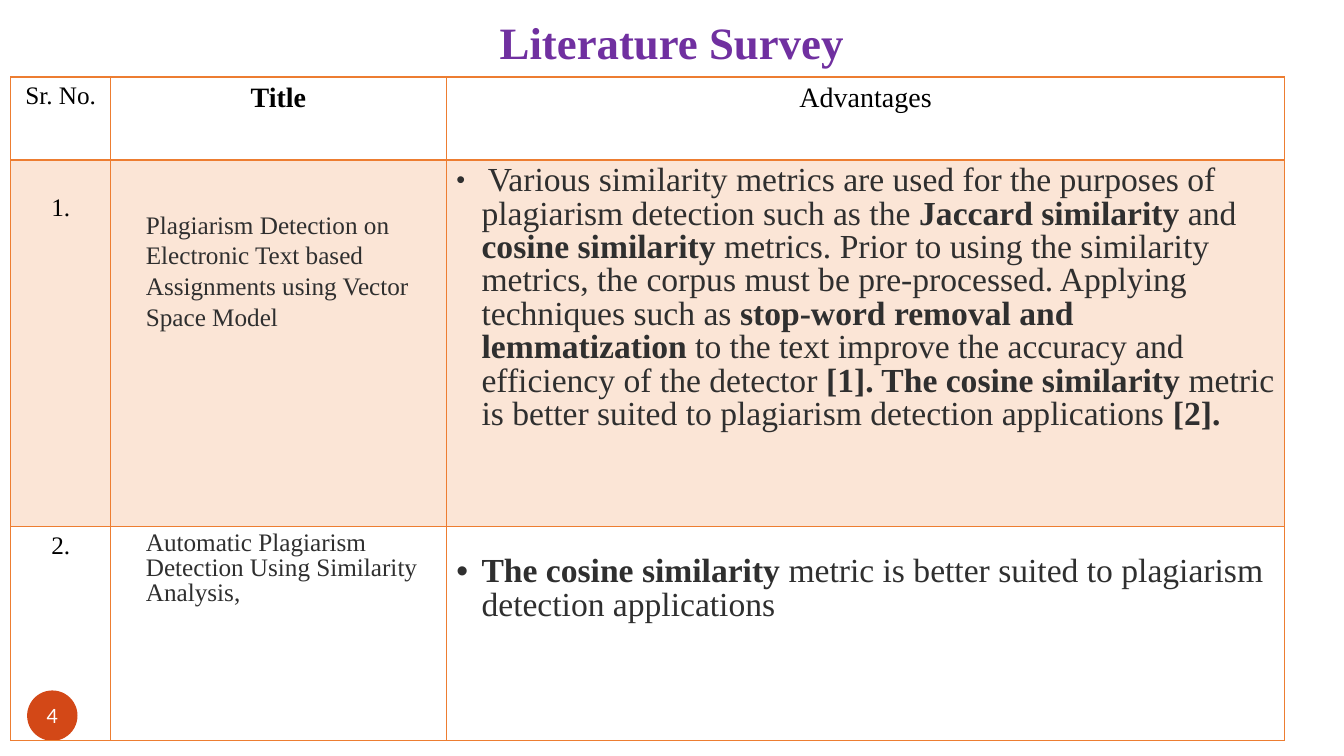
from lxml import etree
from pptx import Presentation
from pptx.dml.color import RGBColor
from pptx.enum import shapes, text
from pptx.oxml import ns
from pptx.util import Pt

COLORS = {"title": "7030A0", "border": "ED7D31", "band": "FBE5D6", "body": "2F2F2F",
          "black": "000000", "badge": "D34817", "white": "FFFFFF"}
SERIF = "Times New Roman"
CENTER = text.PP_ALIGN.CENTER
COLUMNS = [71.3, 239.8, 599]
ROWS = [59.2, 262, 152.8]

METRICS = [
    (" ", True, 18),
    ("Various similarity metrics are used for the purposes of plagiarism detection such as the ", False, 24),
    ("Jaccard similarity ", True, 24),
    ("and ", False, 24),
    ("cosine similarity", True, 24),
    (" metrics. Prior to using the similarity metrics, the corpus must be pre-processed. "
     "Applying techniques such as ", False, 24),
    ("stop-word removal and lemmatization", True, 24),
    (" to the text improve the accuracy and efficiency of the detector ", False, 24),
    ("[1]. The cosine similarity", True, 24),
    (" metric is better suited to plagiarism detection applications ", False, 24),
    ("[2].", True, 24),
]
COSINE = [
    ("The cosine similarity", True, 24),
    (" metric is better suited to plagiarism detection applications", False, 24),
]
FIRST_PAPER = "Plagiarism Detection on Electronic Text based\nAssignments using Vector Space Model"
SECOND_PAPER = "Automatic Plagiarism Detection Using Similarity\nAnalysis,"


def rgb(name):
    return RGBColor.from_string(COLORS[name])


def add_xml(parent, tag, position=None, **attributes):
    child = etree.Element(ns.qn(tag), attributes)
    parent.insert(len(parent) if position is None else position, child)
    return child


def set_margins(frame, left, top, right, bottom):
    margins = {"margin_left": left, "margin_top": top,
               "margin_right": right, "margin_bottom": bottom}
    for name, value in margins.items():
        setattr(frame, name, Pt(value))


def write(para, spans, color, font=SERIF, **paragraph_format):
    """Fill a paragraph with (words, bold, size) spans; a newline breaks the line."""
    for name, value in paragraph_format.items():
        setattr(para, name, value)
    for words, bold, size in spans:
        for index, line in enumerate(words.split("\n")):
            if index:
                para.add_line_break()
            span = para.add_run()
            span.text = line
            values = {"name": font, "size": Pt(size), "bold": bold}
            for name, value in values.items():
                setattr(span.font, name, value)
            span.font.color.rgb = rgb(color)


def indent(para, bullet=False):
    properties = para._p.get_or_add_pPr()
    properties.set("marL", str(Pt(18)))
    properties.set("indent", str(Pt(-18 if bullet else 0)))
    if bullet:
        color = add_xml(properties, "a:buClr")
        add_xml(color, "a:srgbClr", val=COLORS["body"])
        add_xml(properties, "a:buFont", typeface="Arial")
        add_xml(properties, "a:buChar", char="•")


def add_borders(cell, bottom):
    properties = cell._tc.get_or_add_tcPr()
    widths = {"a:lnL": 1, "a:lnR": 1, "a:lnT": 1, "a:lnB": bottom}
    for position, (side, width) in enumerate(widths.items()):
        line = add_xml(properties, side, position, w=str(Pt(width)))
        fill = add_xml(line, "a:solidFill")
        add_xml(fill, "a:srgbClr", val=COLORS["border"])


def centered(words, size, bold=False, top=3.6):
    return {"spans": [(words, bold, size)], "top": top, "color": "black",
            "format": {"alignment": CENTER}}


def indented(spans, top=3.6, spacing=0.9, bullet=False):
    return {"spans": spans, "top": top, "color": "body", "bullet": bullet,
            "format": {"line_spacing": spacing}}


def add_survey_table(page, contents):
    frame = page.shapes.add_table(len(ROWS), len(COLUMNS), Pt(7.7), Pt(55),
                                  Pt(sum(COLUMNS)), Pt(sum(ROWS)))
    table = frame.table
    table.first_row = table.horz_banding = False
    for column, width in zip(table.columns, COLUMNS):
        column.width = Pt(width)
    for row, height in zip(table.rows, ROWS):
        row.height = Pt(height)
    for row, entries in enumerate(contents):
        for column, entry in enumerate(entries):
            cell = table.cell(row, column)
            set_margins(cell, 7.2, entry["top"], 7.2, 3.6)
            if row == 1:
                cell.fill.solid()
                cell.fill.fore_color.rgb = rgb("band")
            else:
                cell.fill.background()
            add_borders(cell, bottom=2 if row == 0 else 1)
            para = cell.text_frame.paragraphs[0]
            write(para, entry["spans"], entry["color"], **entry["format"])
            if "bullet" in entry:
                indent(para, entry["bullet"])


def add_page_badge(page, number):
    badge = page.shapes.add_shape(shapes.MSO_SHAPE.OVAL, Pt(19.4), Pt(493.2), Pt(36), Pt(36))
    badge.shadow.inherit = False
    badge.fill.solid()
    badge.fill.fore_color.rgb = rgb("badge")
    badge.line.fill.background()
    frame = badge.text_frame
    set_margins(frame, 0, 0, 0, 0)
    frame.vertical_anchor = text.MSO_ANCHOR.MIDDLE
    write(frame.paragraphs[0], [(number, False, 14)], "white", "Lato", alignment=CENTER)


def add_title(page, words):
    box = page.shapes.add_textbox(Pt(79.2), Pt(11.5), Pt(801.4), Pt(51.1))
    box.text_frame.word_wrap = True
    write(box.text_frame.paragraphs[0], [(words, True, 32)], "title",
          alignment=CENTER, line_spacing=0.9)


def main():
    deck = Presentation()
    deck.slide_width, deck.slide_height = Pt(960), Pt(540)
    page = deck.slides.add_slide(deck.slide_layouts[6])
    add_page_badge(page, "4")
    add_survey_table(page, [
        [centered("Sr. No.", 18), centered("Title", 20, bold=True), centered("Advantages", 20)],
        [centered("1.", 18, top=24.3),
         indented([(FIRST_PAPER, False, 18)], top=35, spacing=1.1),
         indented(METRICS, bullet=True)],
        [centered("2.", 18),
         indented([(SECOND_PAPER, False, 18)]),
         indented(COSINE, top=20.9, bullet=True)],
    ])
    add_title(page, "Literature Survey")
    deck.save("out.pptx")


if __name__ == "__main__":
    main()
